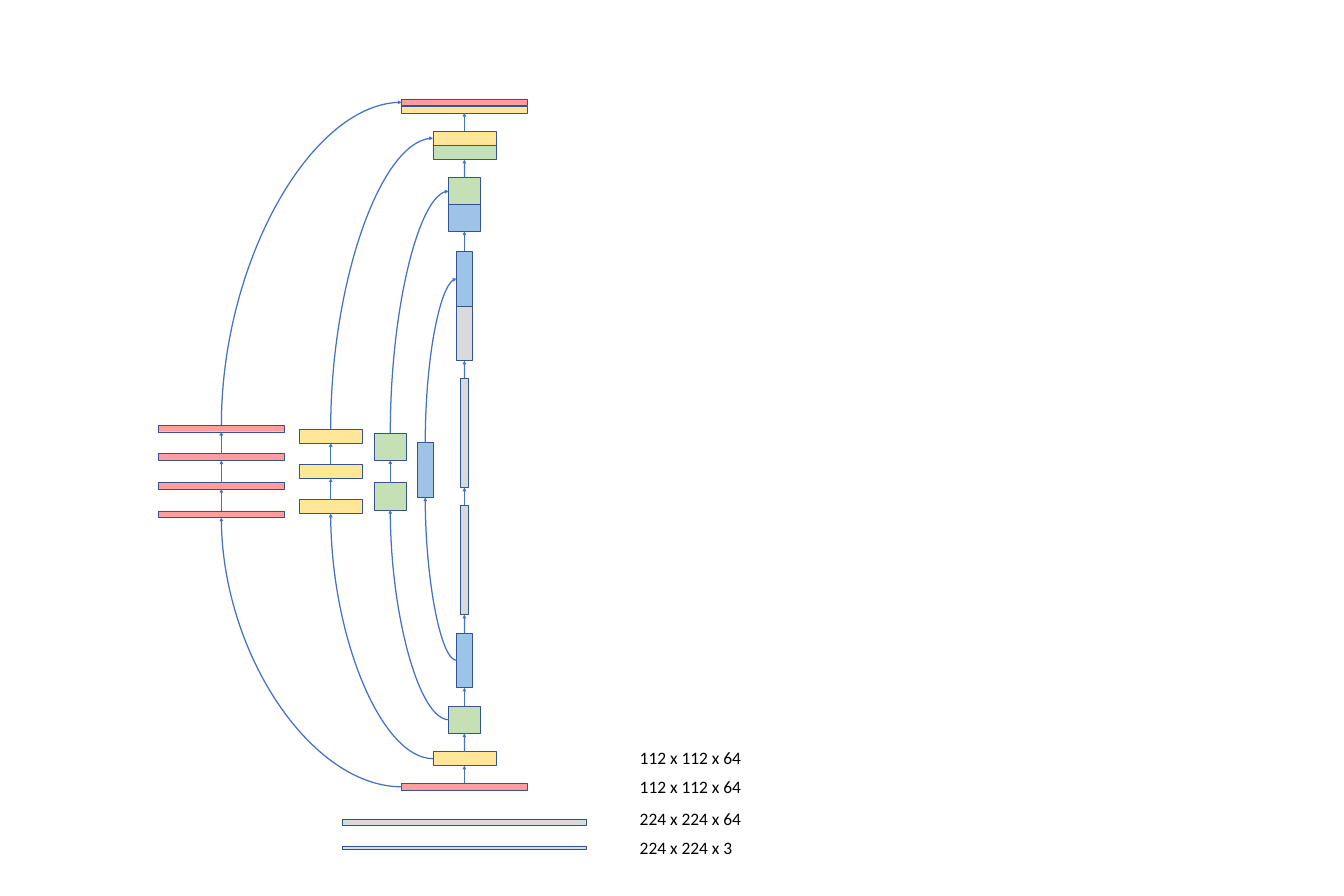
from dataclasses import dataclass

from lxml import etree
from pptx import Presentation
from pptx.dml.color import RGBColor
from pptx.enum.shapes import MSO_CONNECTOR, MSO_SHAPE
from pptx.enum.text import MSO_AUTO_SIZE
from pptx.oxml.ns import qn
from pptx.util import Cm, Pt

RECTANGLE = MSO_SHAPE.RECTANGLE
STRAIGHT, CURVE = MSO_CONNECTOR.STRAIGHT, MSO_CONNECTOR.CURVE
FIT_TEXT = MSO_AUTO_SIZE.SHAPE_TO_FIT_TEXT
TOP, LEFT, BOTTOM = 0, 1, 2  # connection sites of a rectangle


@dataclass(frozen=True)
class Theme:
    font: str = "Calibri"
    label_size: int = 28
    text: str = "000000"
    outline: str = "325491"
    arrow: str = "4472C4"
    red: str = "FF9D9D"
    yellow: str = "FFE699"
    green: str = "C5E0B4"
    blue: str = "9DC3E6"
    grey: str = "DADADA"


@dataclass(frozen=True)
class Layer:
    """A feature map; lengths in cm."""
    width: float
    height: float
    color: str


@dataclass(frozen=True)
class SkipColumn:
    """Equally spaced layers between an encoder and a decoder layer."""
    layer: Layer
    center: float
    top: float
    step: float
    count: int
    source: str
    target: str


THEME = Theme()
RED = Layer(7.11, 0.38, THEME.red)
YELLOW = Layer(3.56, 0.79, THEME.yellow)
GREEN = Layer(1.78, 1.55, THEME.green)
BLUE = Layer(0.89, 3.1, THEME.blue)
DEEP = Layer(0.45, 6.2, THEME.grey)

MAIN_CENTER = 26.33
MAIN = {  # name: (layer, top), each decoder stage being a skip and an up half
    "input": (Layer(13.87, 0.18, THEME.grey), 47.96),
    "conv": (Layer(13.87, 0.38, THEME.grey), 46.43),
    "enc1": (RED, 44.42),
    "enc2": (YELLOW, 42.62),
    "enc3": (GREEN, 40.03),
    "enc4": (BLUE, 35.89),
    "deep1": (DEEP, 28.65),
    "deep2": (DEEP, 21.44),
    "up4": (Layer(BLUE.width, BLUE.height, THEME.grey), 17.35),
    "skip4": (BLUE, 14.25),
    "skip3": (GREEN, 10.06),
    "up3": (Layer(GREEN.width, GREEN.height, THEME.blue), 11.56),
    "up2": (Layer(YELLOW.width, YELLOW.height, THEME.green), 8.26),
    "skip2": (YELLOW, 7.44),
    "up1": (Layer(RED.width, RED.height, THEME.yellow), 6.02),
    "skip1": (RED, 5.61),
}
MAIN_FLOW = [
    ("enc1", "enc2"), ("enc2", "enc3"), ("enc3", "enc4"), ("enc4", "deep1"),
    ("deep1", "deep2"), ("deep2", "up4"), ("skip4", "up3"),
    ("skip3", "up2"), ("skip2", "up1"),
]
SKIPS = [
    SkipColumn(RED, 12.55, 24.1, 1.62, 4, "enc1", "skip1"),
    SkipColumn(YELLOW, 18.75, 24.33, 2.0, 3, "enc2", "skip2"),
    SkipColumn(GREEN, 22.13, 24.54, 2.82, 2, "enc3", "skip3"),
    SkipColumn(BLUE, 24.11, 25.1, 0, 1, "enc4", "skip4"),
]
LABEL_LEFT = 36.02
LABELS = [  # text, top, width
    ("112 x 112 x 64", 42.24, 6.35),
    ("112 x 112 x 64", 43.89, 6.35),
    ("224 x 224 x 64", 45.67, 6.35),
    ("224 x 224 x 3", 47.35, 5.84),
]


def add_layer(s, layer: Layer, center: float, top: float):
    sp = s.shapes.add_shape(RECTANGLE, Cm(center - layer.width / 2), Cm(top),
                            Cm(layer.width), Cm(layer.height))
    sp.shadow.inherit = False
    sp.fill.solid()
    sp.fill.fore_color.rgb = RGBColor.from_string(layer.color)
    sp.line.color.rgb = RGBColor.from_string(THEME.outline)
    sp.line.width = Pt(0)
    return sp


def add_arrow(s, start, end, kind=STRAIGHT, start_site: int = TOP,
              end_site: int = BOTTOM):
    c = s.shapes.add_connector(kind, 0, 0, 0, 0)
    c.begin_connect(start, start_site)
    c.end_connect(end, end_site)
    c.line.color.rgb = RGBColor.from_string(THEME.arrow)
    c.line.width = Pt(0)
    properties = c._element.spPr
    etree.SubElement(properties.find(qn("a:ln")), qn("a:tailEnd"), type="triangle")
    etree.SubElement(properties, qn("a:effectLst"))
    return c


def add_curve(s, start, end, start_site: int, end_site: int) -> None:
    """Quarter bend; one leaving a top side is turned to start upwards."""
    c = add_arrow(s, start, end, CURVE, start_site, end_site)
    properties = c._element.spPr
    properties.find(qn("a:prstGeom")).set("prst", "curvedConnector2")
    if start_site == TOP:
        shift = (c.width - c.height) // 2
        c.left, c.top = c.left + shift, c.top - shift
        c.width, c.height = c.height, c.width
        frame = properties.find(qn("a:xfrm"))
        for name, value in (("rot", "5400000"), ("flipH", "1"), ("flipV", "1")):
            frame.set(name, value)


def add_text(s, text: str, *, left: float, top: float, width: float,
             height: float = 1.45, size: int = THEME.label_size,
             color: str = THEME.text) -> None:
    tf = s.shapes.add_textbox(Cm(left), Cm(top), Cm(width), Cm(height)).text_frame
    tf.word_wrap = False
    tf.auto_size = FIT_TEXT
    r = tf.paragraphs[0].add_run()
    r.text = text
    r.font.name = THEME.font
    r.font.size = Pt(size)
    r.font.color.rgb = RGBColor.from_string(color)


def main() -> None:
    prs = Presentation()
    prs.slide_width, prs.slide_height = Cm(76.2), Cm(50.8)
    s = prs.slides.add_slide(prs.slide_layouts[6])

    # Main network
    layers = {name: add_layer(s, layer, MAIN_CENTER, top)
              for name, (layer, top) in MAIN.items()}
    for start, end in MAIN_FLOW:
        add_arrow(s, layers[start], layers[end])

    # Skip paths, top layer first in each column
    for skip in SKIPS:
        column = [add_layer(s, skip.layer, skip.center, skip.top + i * skip.step)
                  for i in range(skip.count)]
        for upper, lower in zip(column, column[1:]):
            add_arrow(s, lower, upper)
        add_curve(s, layers[skip.source], column[-1], LEFT, BOTTOM)
        add_curve(s, column[0], layers[skip.target], TOP, LEFT)

    # Layer dimensions
    for text, top, width in LABELS:
        add_text(s, text, left=LABEL_LEFT, top=top, width=width)

    prs.save("out.pptx")


if __name__ == "__main__":
    main()
